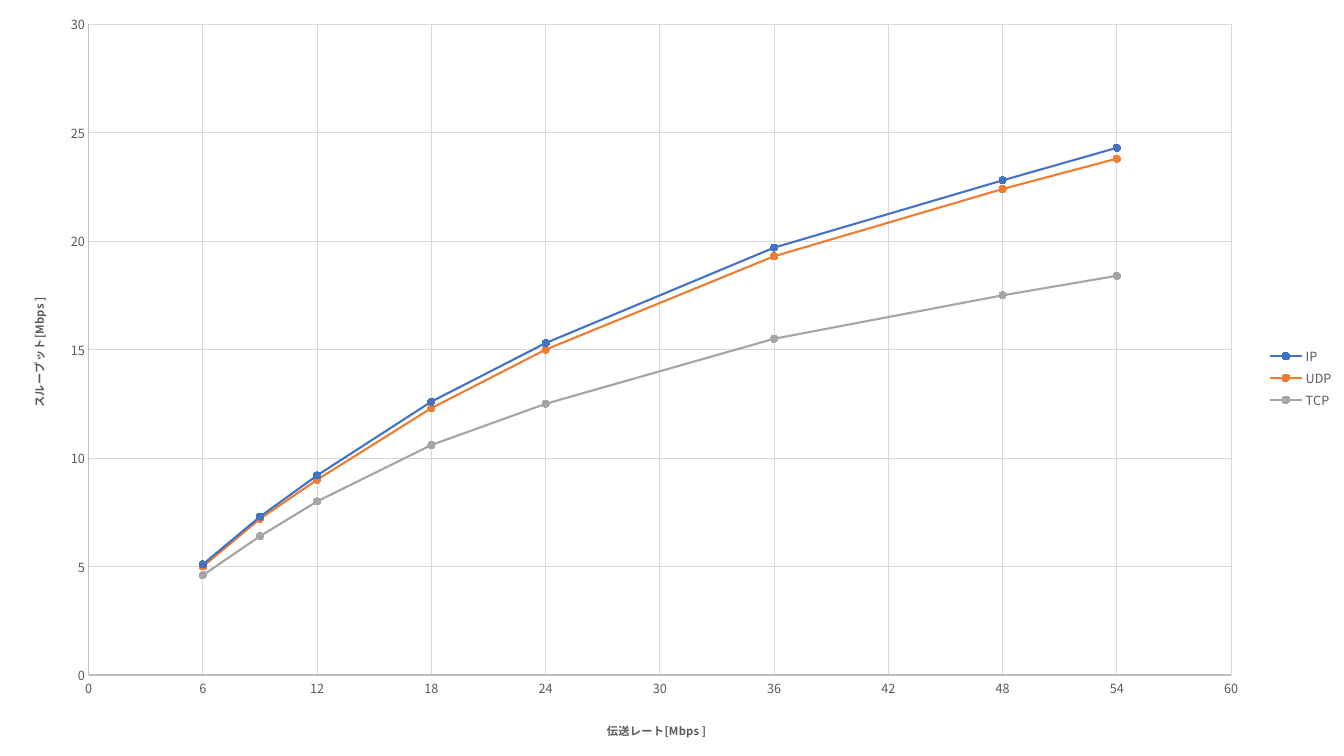
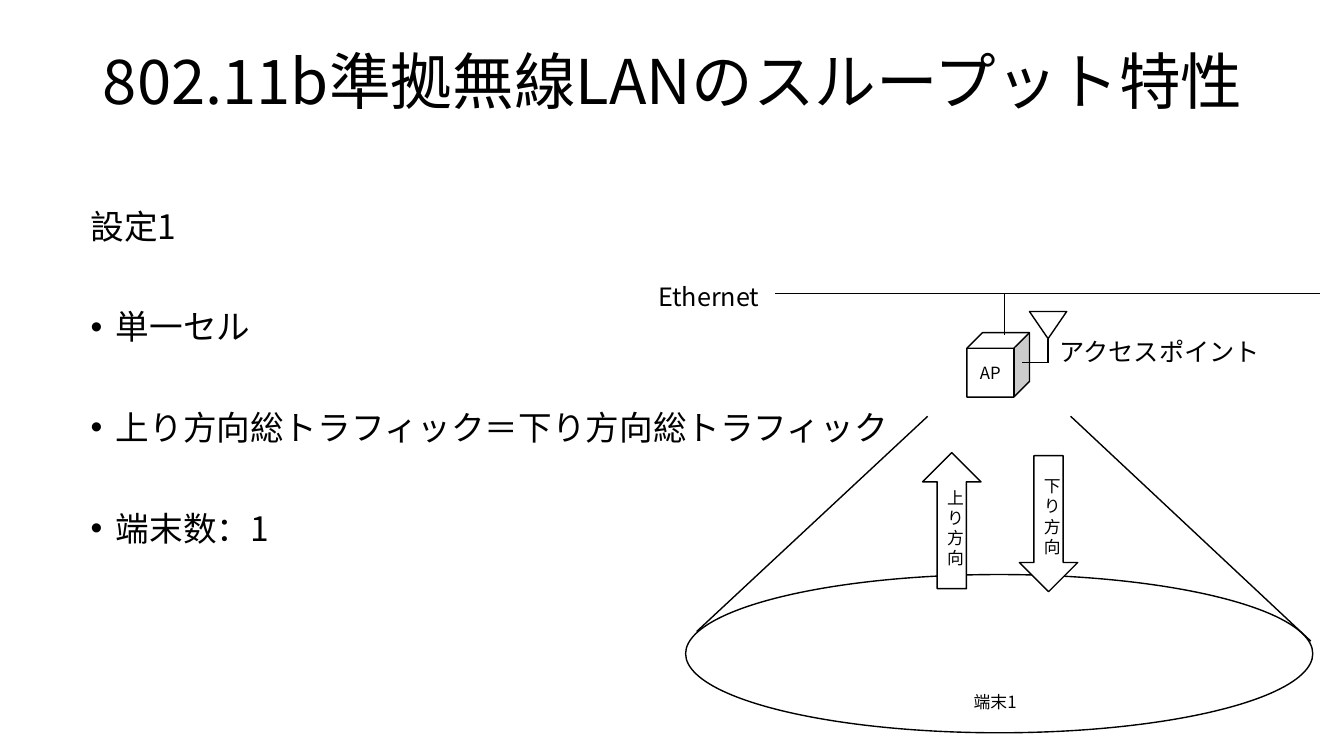
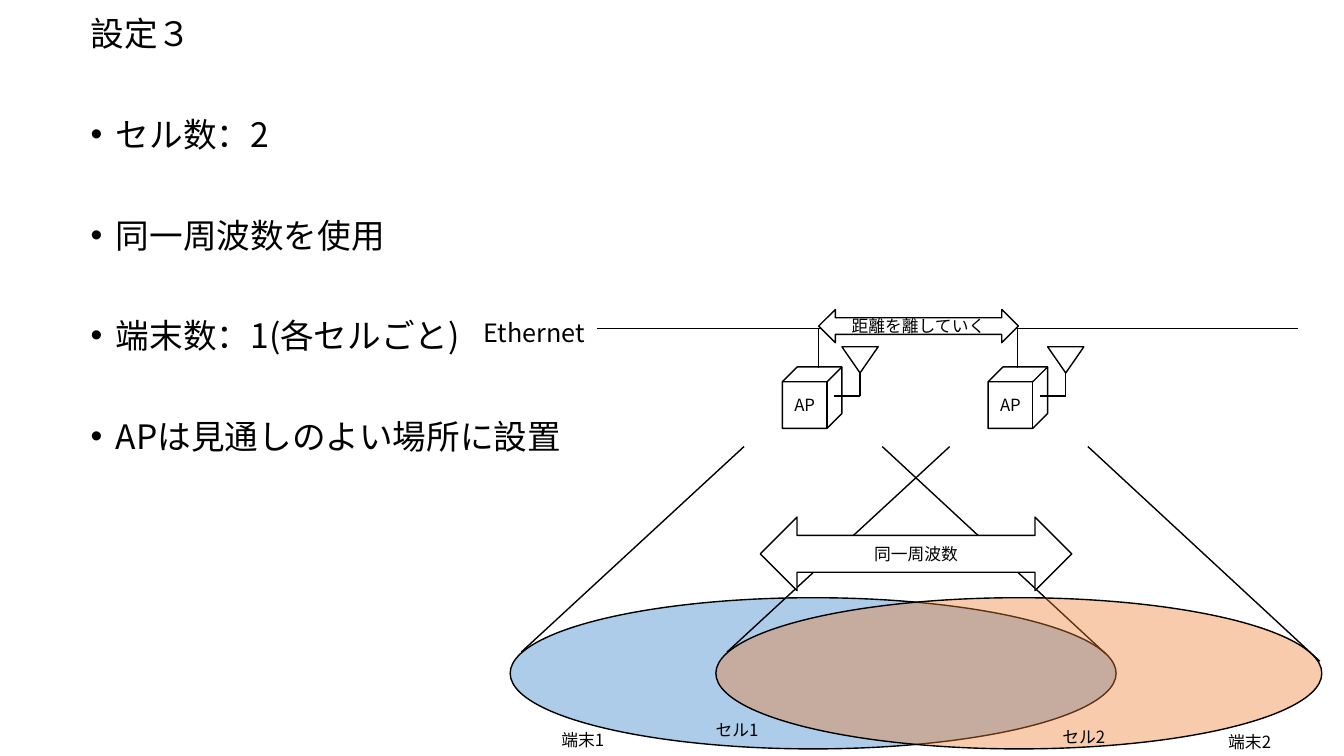
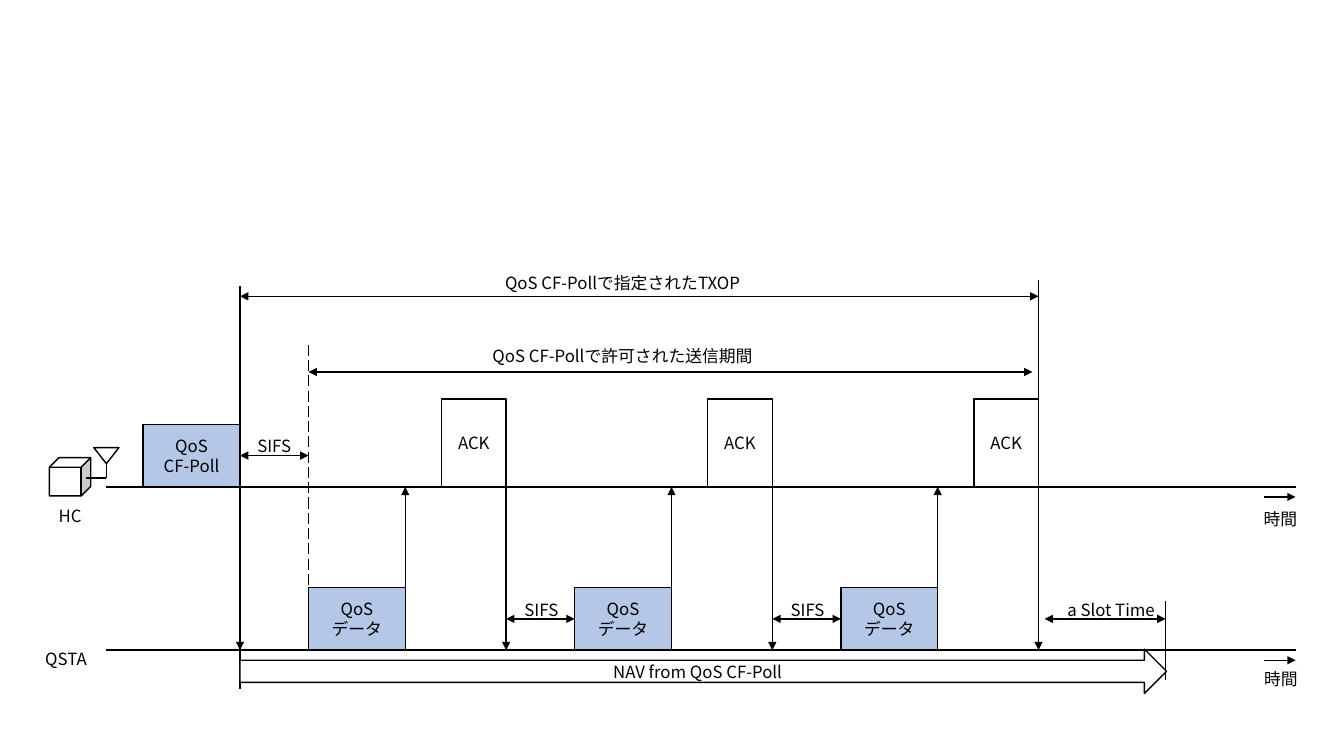
from dataclasses import dataclass
from typing import Optional

from lxml import etree
from pptx import Presentation
from pptx.chart.axis import ValueAxis
from pptx.chart.data import XyChartData
from pptx.dml.color import RGBColor
from pptx.enum.chart import (XL_CHART_TYPE, XL_LEGEND_POSITION, XL_MARKER_STYLE,
                             XL_TICK_MARK)
from pptx.enum.dml import MSO_LINE
from pptx.enum.shapes import MSO_CONNECTOR, MSO_SHAPE
from pptx.enum.text import MSO_ANCHOR, MSO_AUTO_SIZE, PP_ALIGN
from pptx.oxml.ns import qn
from pptx.shapes.base import BaseShape
from pptx.slide import Slide
from pptx.text.text import TextFrame
from pptx.util import Emu, Pt

SCALE = 9144  # EMU per px, 100 px to the inch
SLIDE_W, SLIDE_H = 1333, 750
FONT = "Noto Sans CJK JP"
BLACK, WHITE = "000000", "FFFFFF"
GRAY_TEXT, AXIS_LINE, GRID_LINE = "595959", "BFBFBF", "D9D9D9"
BLUE, ORANGE, GRAY = "4472C4", "ED7D31", "A5A5A5"
CELL_BLUE, DATA_BLUE = "5B9BD5", "B4C7E7"
LABEL_SIZE, NETWORK_SIZE, BODY_SIZE, TITLE_SIZE = 12, 18, 24, 44
BODY_GAP = 46
CONTENT_LAYOUT, BLANK_LAYOUT = 1, 6

LEFT, CENTER = PP_ALIGN.LEFT, PP_ALIGN.CENTER
TOP, MIDDLE = MSO_ANCHOR.TOP, MSO_ANCHOR.MIDDLE
RECT, ELLIPSE, CUBE = MSO_SHAPE.RECTANGLE, MSO_SHAPE.OVAL, MSO_SHAPE.CUBE
TRIANGLE = MSO_SHAPE.ISOSCELES_TRIANGLE
UP_ARROW, DOWN_ARROW = MSO_SHAPE.UP_ARROW, MSO_SHAPE.DOWN_ARROW
RIGHT_ARROW, BOTH_ARROW = MSO_SHAPE.RIGHT_ARROW, MSO_SHAPE.LEFT_RIGHT_ARROW
STRAIGHT = MSO_CONNECTOR.STRAIGHT
LONG_DASH = MSO_LINE.LONG_DASH
CIRCLE, NO_TICK = XL_MARKER_STYLE.CIRCLE, XL_TICK_MARK.NONE


@dataclass(frozen=True)
class Box:
    left: int
    top: int
    width: int
    height: int

    @property
    def right(self) -> int:
        return self.left + self.width

    @property
    def bottom(self) -> int:
        return self.top + self.height

    @property
    def emu(self) -> tuple[Emu, Emu, Emu, Emu]:
        return px(self.left), px(self.top), px(self.width), px(self.height)


@dataclass(frozen=True)
class Label:
    text: str
    box: Box
    size: int = LABEL_SIZE
    align: PP_ALIGN = CENTER


@dataclass(frozen=True)
class Station:
    cube: Box
    antenna: Box
    text: str = ""
    fill: Optional[str] = WHITE


@dataclass(frozen=True)
class Cell:
    area: Box
    right_foot: tuple[int, int]
    fill: str = WHITE
    opacity: int = 100


@dataclass(frozen=True)
class Curve:
    name: str
    color: str
    throughputs: tuple[float, ...]


def px(length: float) -> Emu:
    return Emu(round(length * SCALE))


def rgb(color: str) -> RGBColor:
    return RGBColor.from_string(color)


def set_font(font, size: int, color: str = BLACK) -> None:
    """Apply the deck font to Latin and East Asian text."""
    font.size = Pt(size)
    font.color.rgb = rgb(color)
    font.name = FONT
    latin = font._element.find(qn("a:latin"))
    east_asian = etree.Element(qn("a:ea"), typeface=FONT)
    latin.addnext(east_asian)


def write(frame: TextFrame, text: str, size: int = LABEL_SIZE,
          align: PP_ALIGN = CENTER, anchor: MSO_ANCHOR = TOP,
          spacing: float = 1.2) -> None:
    frame.word_wrap = True
    frame.auto_size = MSO_AUTO_SIZE.NONE
    frame.vertical_anchor = anchor
    frame.text = text
    for paragraph in frame.paragraphs:
        paragraph.alignment = align
        paragraph.line_spacing = Pt(size * spacing)
        set_font(paragraph.font, size)


def move(shape: BaseShape, box: Box) -> None:
    shape.left, shape.top, shape.width, shape.height = box.emu


def add_label(slide: Slide, label: Label) -> None:
    frame = slide.shapes.add_textbox(*label.box.emu).text_frame
    write(frame, label.text, label.size, label.align)


def add_outline(slide: Slide, kind: MSO_SHAPE, box: Box, text: str = "",
                fill: Optional[str] = WHITE, opacity: int = 100) -> BaseShape:
    """Draw a black-edged preset shape; no fill when fill is None."""
    shape = slide.shapes.add_shape(kind, *box.emu)
    shape.shadow.inherit = False
    if fill is None:
        shape.fill.background()
    else:
        shape.fill.solid()
        shape.fill.fore_color.rgb = rgb(fill)
        if opacity < 100:
            color = shape._element.spPr.find(".//" + qn("a:srgbClr"))
            etree.SubElement(color, qn("a:alpha"), val=str(opacity * 1000))
    shape.line.color.rgb = rgb(BLACK)
    shape.line.width = Pt(1)
    if text:
        write(shape.text_frame, text, anchor=MIDDLE)
    return shape


def add_line(slide: Slide, x1: float, y1: float, x2: float, y2: float,
             head: bool = False, tail: bool = False, dashed: bool = False) -> None:
    """Draw a line; head and tail put arrowheads at its start and end."""
    connector = slide.shapes.add_connector(STRAIGHT, px(x1), px(y1), px(x2), px(y2))
    connector.line.color.rgb = rgb(BLACK)
    connector.line.width = Pt(1)
    if dashed:
        connector.line.dash_style = LONG_DASH
    properties = connector._element.spPr
    line = properties.find(qn("a:ln"))
    for wanted, tag in ((head, "a:headEnd"), (tail, "a:tailEnd")):
        if wanted:
            etree.SubElement(line, qn(tag), type="triangle")
    etree.SubElement(properties, qn("a:effectLst"))


def add_station(slide: Slide, station: Station) -> None:
    cube, antenna = station.cube, station.antenna
    mast = antenna.left + antenna.width / 2
    arm = antenna.bottom + 0.88 * antenna.height
    side = cube.right - min(cube.width, cube.height) / 8
    add_outline(slide, CUBE, cube, station.text, station.fill)
    add_line(slide, mast, arm, side, arm)
    add_line(slide, mast, antenna.bottom, mast, arm)
    add_outline(slide, TRIANGLE, antenna, fill=station.fill).rotation = 180


def add_cell(slide: Slide, cell: Cell) -> None:
    """Draw a coverage ellipse and the two beam edges above it."""
    area = cell.area
    beam_top = area.top - area.height
    add_outline(slide, ELLIPSE, area, fill=cell.fill, opacity=cell.opacity)
    add_line(slide, area.left + 11, area.top + 0.36 * area.height,
             area.left + 0.386 * area.width, beam_top)
    add_line(slide, *cell.right_foot, area.left + 0.614 * area.width, beam_top)


def fill_body(slide: Slide, box: Box, heading: str, items: list[str]) -> None:
    body = slide.placeholders[1]
    move(body, box)
    frame = body.text_frame
    write(frame, "\n".join([heading, *items]), BODY_SIZE, LEFT, spacing=1.08)
    for index, paragraph in enumerate(frame.paragraphs):
        properties = paragraph._p.get_or_add_pPr()
        indent = px(25) if index else 0
        properties.set("marL", str(indent))
        properties.set("indent", str(-indent))
        bullet = etree.Element(qn("a:buChar"), char="•") if index \
            else etree.Element(qn("a:buNone"))
        properties.find(qn("a:defRPr")).addprevious(bullet)
        paragraph.space_before = Pt(BODY_GAP if index else 0)


def place_in_chart(parent, **fractions: float) -> None:
    """Give a chart part a manual layout in fractions of the chart."""
    layout = parent.find(qn("c:layout"))
    if layout is None:
        layout = etree.Element(qn("c:layout"))
        text = parent.find(qn("c:tx"))
        if text is None:
            parent.insert(0, layout)
        else:
            text.addnext(layout)
    manual = etree.SubElement(layout, qn("c:manualLayout"))
    if "w" in fractions:
        etree.SubElement(manual, qn("c:layoutTarget"), val="inner")
    for axis in ("x", "y"):
        etree.SubElement(manual, qn(f"c:{axis}Mode"), val="edge")
    for key, value in fractions.items():
        etree.SubElement(manual, qn(f"c:{key}"), val=str(value))


def format_axis(axis: ValueAxis, title: str, maximum: int, step: int,
                title_x: float, title_y: float) -> None:
    axis.minimum_scale, axis.maximum_scale, axis.major_unit = 0, maximum, step
    axis.major_tick_mark = axis.minor_tick_mark = NO_TICK
    axis.has_major_gridlines = True
    for line, color in ((axis.format.line, AXIS_LINE),
                        (axis.major_gridlines.format.line, GRID_LINE)):
        line.color.rgb = rgb(color)
        line.width = Pt(0.75)
    set_font(axis.tick_labels.font, 9, GRAY_TEXT)
    axis.tick_labels.number_format = "General"
    axis.tick_labels.number_format_is_linked = False
    frame = axis.axis_title.text_frame
    frame.text = title
    set_font(frame.paragraphs[0].font, 8, GRAY_TEXT)
    place_in_chart(axis.axis_title._element, x=title_x, y=title_y)


def build_throughput_chart(prs: Presentation) -> None:
    slide = prs.slides.add_slide(prs.slide_layouts[BLANK_LAYOUT])
    rates = (6, 9, 12, 18, 24, 36, 48, 54)
    curves = (
        Curve("IP", BLUE, (5.1, 7.3, 9.2, 12.6, 15.3, 19.7, 22.8, 24.3)),
        Curve("UDP", ORANGE, (5, 7.2, 9, 12.3, 15, 19.3, 22.4, 23.8)),
        Curve("TCP", GRAY, (4.6, 6.4, 8, 10.6, 12.5, 15.5, 17.5, 18.4)),
    )
    data = XyChartData()
    for curve in curves:
        series = data.add_series(curve.name)
        for rate, throughput in zip(rates, curve.throughputs):
            series.add_data_point(rate, throughput)
    chart = slide.shapes.add_chart(XL_CHART_TYPE.XY_SCATTER_LINES,
                                   *Box(0, 0, SLIDE_W, SLIDE_H).emu, data).chart
    set_font(chart.font, 10)
    chart.has_title = False
    chart.has_legend = True
    chart.legend.position = XL_LEGEND_POSITION.RIGHT
    chart.legend.include_in_layout = False
    set_font(chart.legend.font, 9, GRAY_TEXT)

    plot = chart.plots[0]
    plot.vary_by_categories = False
    for series, curve in zip(plot.series, curves):
        series.smooth = False
        series.format.line.color.rgb = rgb(curve.color)
        series.format.line.width = Pt(1.5)
        series.marker.style = CIRCLE
        series.marker.size = 5
        series.marker.format.fill.solid()
        series.marker.format.fill.fore_color.rgb = rgb(curve.color)
        series.marker.format.line.color.rgb = rgb(curve.color)

    format_axis(chart.category_axis, "伝送レート[Mbps ]", 60, 6, 0.45, 0.95)
    format_axis(chart.value_axis, "スループット[Mbps ]", 30, 5, 0.02, 0.39)
    turned = next(chart.value_axis.axis_title._element.iter(qn("a:bodyPr")))
    turned.set("rot", "-5400000")
    turned.set("vert", "horz")
    plot_area = next(chart._chartSpace.iter(qn("c:plotArea")))
    place_in_chart(plot_area, x=0.066, y=0.032, w=0.85, h=0.861)


def build_single_cell(prs: Presentation) -> None:
    slide = prs.slides.add_slide(prs.slide_layouts[CONTENT_LAYOUT])
    title = slide.shapes.title
    move(title, Box(92, 40, 1242, 145))
    write(title.text_frame, "802.11b準拠無線LANのスループット特性",
          TITLE_SIZE, LEFT, spacing=1.16)
    fill_body(slide, Box(80, 203, 1171, 477), "設定1",
              ["単一セル", "上り方向総トラフィック＝下り方向総トラフィック", "端末数：1"])

    add_line(slide, 1309, 291, 769, 291)
    add_station(slide, Station(Box(959, 330, 62, 64), Box(1021, 309, 37, 27), "AP"))
    add_line(slide, 996, 291, 996, 332)
    add_cell(slide, Cell(Box(680, 570, 622, 157), (1300, 636)))
    add_outline(slide, DOWN_ARROW, Box(1011, 452, 58, 135), "下り方向")
    add_outline(slide, UP_ARROW, Box(915, 449, 58, 135), "上り方向")
    for label in (
        Label("アクセスポイント", Box(1041, 329, 231, 41), NETWORK_SIZE, LEFT),
        Label("Ethernet", Box(643, 274, 126, 41), NETWORK_SIZE, LEFT),
        Label("端末1", Box(939, 681, 96, 30)),
    ):
        add_label(slide, label)


def build_two_cells(prs: Presentation) -> None:
    slide = prs.slides.add_slide(prs.slide_layouts[CONTENT_LAYOUT])
    title = slide.shapes.title._element
    title.getparent().remove(title)
    fill_body(slide, Box(80, 12, 1171, 668), "設定３",
              ["セル数：2", "同一周波数を使用", "端末数：1(各セルごと)",
               "APは見通しのよい場所に設置"])

    add_line(slide, 1287, 326, 592, 326)
    cells = (Cell(Box(506, 593, 601, 150), (1096, 648), CELL_BLUE, 50),
             Cell(Box(710, 593, 601, 150), (1309, 656), ORANGE, 40))
    for cell, drop in zip(cells, (812, 1009)):
        cube = Box(cell.area.left + 270, 364, 59, 61)
        antenna = Box(cube.right, 344, 36, 26)
        add_station(slide, Station(cube, antenna, "AP", None))
        add_line(slide, drop, 326, drop, 365)
        add_cell(slide, cell)
    add_outline(slide, BOTH_ARROW, Box(754, 513, 309, 73), "同一周波数")
    add_outline(slide, BOTH_ARROW, Box(812, 307, 198, 33), "距離を離していく")
    for label in (
        Label("Ethernet", Box(470, 310, 122, 39), NETWORK_SIZE, LEFT),
        Label("端末1", Box(538, 719, 80, 29)),
        Label("端末2", Box(1188, 721, 103, 29)),
        Label("セル1", Box(691, 709, 80, 29)),
        Label("セル2", Box(1035, 716, 80, 30)),
    ):
        add_label(slide, label)


def build_txop_timeline(prs: Presentation) -> None:
    slide = prs.slides.add_slide(prs.slide_layouts[BLANK_LAYOUT])
    hc_axis, qsta_axis = 483, 645
    poll_end, first_data, cycle, cycles = 238, 306, 264, 3
    frame_w, frame_h, ack_w, ack_h, ack_delay = 96, 62, 64, 87, 132
    sifs, sifs_y = 68, 614
    txop_end = first_data + (cycles - 1) * cycle + ack_delay + ack_w
    slot_end = 1156

    for axis in (hc_axis, qsta_axis):
        add_line(slide, 105, axis, 1285, axis)
        add_line(slide, 1254, axis + 10, 1285, axis + 10, tail=True)
    add_station(slide, Station(Box(49, 454, 41, 38), Box(93, 444, 25, 16)))
    add_outline(slide, RECT, Box(poll_end - frame_w, hc_axis - frame_h, frame_w, frame_h),
                "QoS\nCF-Poll", DATA_BLUE)
    add_line(slide, poll_end, 284, poll_end, qsta_axis, tail=True)
    add_line(slide, poll_end, 452, first_data, 452, head=True, tail=True)
    add_line(slide, first_data, 342, first_data, qsta_axis, dashed=True)

    for index in range(cycles):
        start = first_data + index * cycle
        data_end, ack_start = start + frame_w, start + ack_delay
        ack_end, is_last = ack_start + ack_w, index == cycles - 1
        add_outline(slide, RECT, Box(start, qsta_axis - frame_h, frame_w, frame_h),
                    "QoS\nデータ", DATA_BLUE)
        add_line(slide, data_end, qsta_axis, data_end, hc_axis, tail=True)
        add_outline(slide, RECT, Box(ack_start, hc_axis - ack_h, ack_w, ack_h), "ACK")
        add_line(slide, ack_end, 278 if is_last else hc_axis - ack_h,
                 ack_end, qsta_axis, tail=True)
        if not is_last:
            add_line(slide, ack_end, sifs_y, ack_end + sifs, sifs_y, head=True, tail=True)
            add_label(slide, Label("SIFS", Box(ack_end - 4, 590, 78, 35)))

    add_line(slide, txop_end + 6, sifs_y, slot_end, sifs_y, head=True, tail=True)
    add_line(slide, first_data, 369, txop_end - 6, 369, head=True, tail=True)
    add_line(slide, poll_end, 294, txop_end, 294, head=True, tail=True)
    add_line(slide, slot_end, 596, slot_end, 675)
    add_line(slide, poll_end, 605, poll_end, 684)
    add_outline(slide, RIGHT_ARROW, Box(poll_end, 644, 919, 44), "NAV from QoS CF-Poll")
    for label in (
        Label("時間", Box(1234, 500, 72, 28)),
        Label("時間", Box(1241, 658, 59, 28)),
        Label("HC", Box(31, 497, 77, 28)),
        Label("QSTA", Box(27, 639, 77, 28)),
        Label("SIFS", Box(233, 427, 78, 35)),
        Label("QoS CF-Pollで指定されたTXOP", Box(456, 266, 323, 35)),
        Label("QoS CF-Pollで許可された送信期間", Box(456, 338, 323, 35)),
        Label("a Slot Time", Box(1027, 590, 150, 29), align=CENTER),
    ):
        add_label(slide, label)


def main() -> None:
    prs = Presentation()
    prs.slide_width, prs.slide_height = px(SLIDE_W), px(SLIDE_H)
    build_throughput_chart(prs)
    build_single_cell(prs)
    build_two_cells(prs)
    build_txop_timeline(prs)
    prs.save("out.pptx")


if __name__ == "__main__":
    main()
